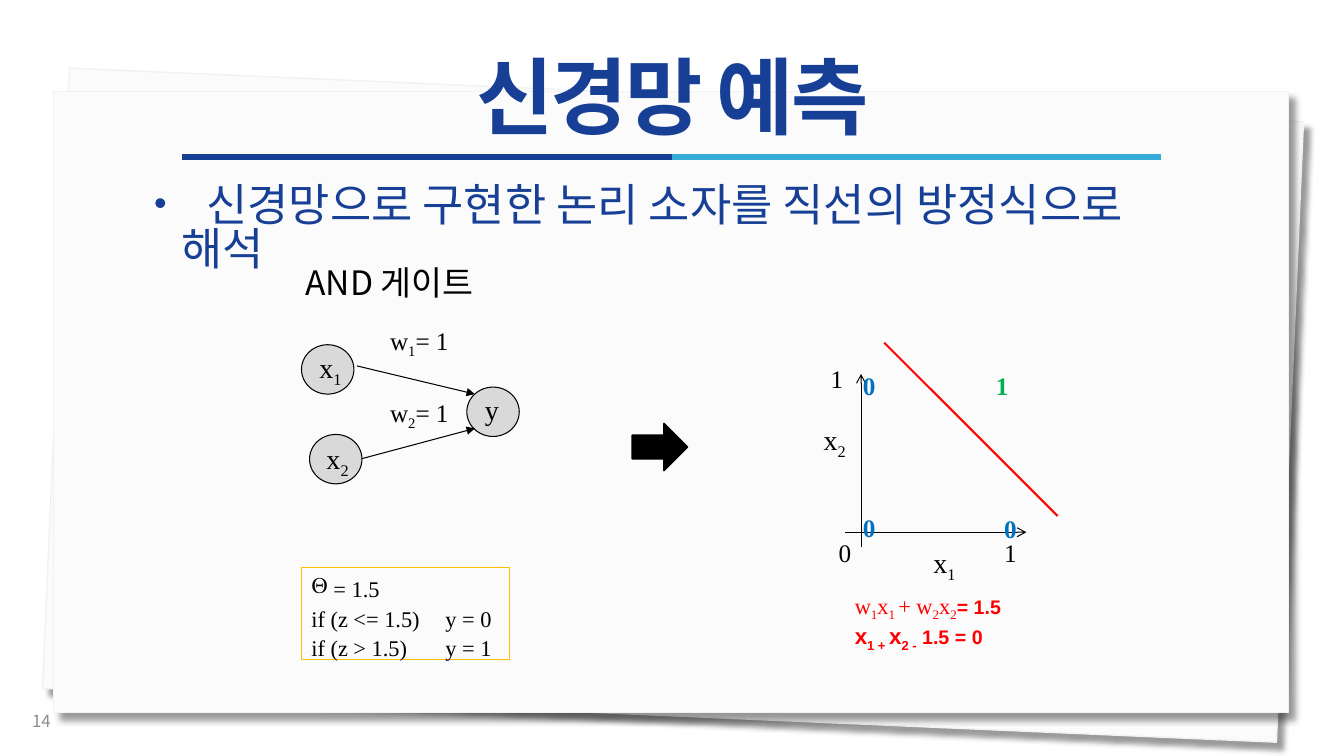
from lxml.etree import SubElement
from pptx import Presentation
from pptx.dml.color import RGBColor
from pptx.enum.shapes import MSO_CONNECTOR, MSO_SHAPE
from pptx.enum.text import MSO_ANCHOR, PP_ALIGN
from pptx.oxml import parse_xml
from pptx.oxml.ns import nsdecls, qn
from pptx.util import Pt

PX = 9144  # 100 px to the inch
NAVY = RGBColor(0x17, 0x3F, 0x95)
RULE = RGBColor(0x16, 0x3E, 0x94)
SKY = RGBColor(0x36, 0xAA, 0xD9)
PAPER = RGBColor(0xFB, 0xFB, 0xFB)
EDGE = RGBColor(0xF2, 0xF2, 0xF2)
GRAY = RGBColor(0x8C, 0x8C, 0x8C)
NODE = RGBColor(0xD9, 0xD9, 0xD9)
GOLD = RGBColor(0xFF, 0xC0, 0x00)
BLACK = RGBColor(0, 0, 0)
RED = RGBColor(0xFF, 0, 0)
BLUE = RGBColor(0x00, 0x70, 0xC0)
GREEN = RGBColor(0x00, 0xB0, 0x50)
SANS, SERIF, ARIAL = "Noto Sans CJK KR", "Times New Roman", "Arial"

deck = Presentation()
deck.slide_width, deck.slide_height = 1333 * PX, 750 * PX
slide = deck.slides.add_slide(deck.slide_layouts[6])
shapes = slide.shapes


def write(para, text, size, face=SERIF, color=BLACK, bold=False):
    """Add runs to a paragraph; text between underscores is subscript."""
    for i, part in enumerate(text.split("_")):
        if not part:
            continue
        run = para.add_run()
        run.text = part
        font = run.font
        font.size, font.name, font.bold = Pt(size), face, bold
        font.color.rgb = color
        props = run._r.get_or_add_rPr()
        SubElement(props, qn("a:ea")).set("typeface", face)
        if i % 2:
            props.set("baseline", "-25000")


def link(x1, y1, x2, y2, color=BLACK, width=0.75, tail=None):
    line = shapes.add_connector(
        MSO_CONNECTOR.STRAIGHT, x1 * PX, y1 * PX, x2 * PX, y2 * PX)
    line.line.color.rgb, line.line.width = color, Pt(width)
    if tail:
        SubElement(line.line._get_or_add_ln(), qn("a:tailEnd")).set("type", tail)
    SubElement(line._element.spPr, qn("a:effectLst"))


# Stacked paper sheets
for x, y, turn in [(55, 94, 2.5), (53, 91, 0)]:
    sheet = shapes.add_shape(MSO_SHAPE.RECTANGLE, x * PX, y * PX, 1225 * PX, 616 * PX)
    sheet.rotation = turn
    sheet.fill.solid()
    sheet.fill.fore_color.rgb = PAPER
    sheet.line.color.rgb, sheet.line.width = EDGE, Pt(1)
    sheet._element.spPr.append(parse_xml(
        f'<a:effectLst {nsdecls("a")}><a:outerShdw blurRad="50800" dist="88900" '
        'dir="2700000" algn="tl" rotWithShape="0"><a:srgbClr val="000000">'
        '<a:alpha val="40000"/></a:srgbClr></a:outerShdw></a:effectLst>'))

link(181, 156, 667, 156, RULE, 4.5)
link(667, 156, 1152, 156, SKY, 4.5)

# Axes and decision line
link(838, 528, 1018, 528, tail="arrow")
link(854, 543, 854, 371, tail="arrow")
link(877, 340, 1049, 512, RED, 1.5)

# Network
for x, y in [(299, 342), (463, 384), (307, 431)]:
    node = shapes.add_shape(MSO_SHAPE.OVAL, x * PX, y * PX, 52 * PX, 49 * PX)
    node.shadow.inherit = False
    node.fill.solid()
    node.fill.fore_color.rgb = NODE
    node.line.color.rgb, node.line.width = BLACK, Pt(0.75)
link(354, 363, 471, 391, tail="triangle")
link(359, 455, 471, 425, tail="triangle")

arrow = shapes.add_shape(MSO_SHAPE.RIGHT_ARROW, 627 * PX, 420 * PX, 55 * PX, 47 * PX)
arrow.shadow.inherit = False
arrow.fill.solid()
arrow.fill.fore_color.rgb = BLACK
arrow.line.color.rgb, arrow.line.width = BLACK, Pt(1)

# One-line labels: place, text, size, face, colour, bold
labels = [
    (22, 695, 300, 40, "14", 12, SANS, GRAY, False),
    (293, 255, 297, 50, "AND 게이트", 24, SANS, BLACK, False),
    (916, 536, 47, 43, "x_1_", 20, SERIF, BLACK, False),
    (807, 414, 47, 44, "x_2_", 20, SERIF, BLACK, False),
    (814, 356, 47, 39, "1", 18, SERIF, BLACK, False),
    (822, 528, 47, 39, "0", 18, SERIF, BLACK, False),
    (986, 528, 47, 39, "1", 18, SERIF, BLACK, False),
    (846, 503, 47, 40, "0", 18, SERIF, BLUE, True),
    (986, 504, 47, 40, "0", 18, SERIF, BLUE, True),
    (846, 362, 47, 40, "0", 18, SERIF, BLUE, True),
    (978, 362, 47, 40, "1", 18, SERIF, GREEN, True),
    (307, 343, 47, 42, "x_1_", 20, SERIF, BLACK, False),
    (314, 433, 47, 44, "x_2_", 20, SERIF, BLACK, False),
    (471, 384, 47, 43, "y", 20, SERIF, BLACK, False),
    (377, 318, 94, 40, "w_1_= 1", 18, SERIF, BLACK, False),
    (377, 389, 94, 40, "w_2_= 1", 18, SERIF, BLACK, False),
]
for x, y, w, h, text, *style in labels:
    frame = shapes.add_textbox(x * PX, y * PX, w * PX, h * PX).text_frame
    frame.word_wrap = True
    if text == "14":
        frame.vertical_anchor = MSO_ANCHOR.MIDDLE
    write(frame.paragraphs[0], text, *style)

# Title
frame = shapes.add_textbox(0, 56 * PX, 1334 * PX, 90 * PX).text_frame
frame.word_wrap = True
frame.vertical_anchor = MSO_ANCHOR.MIDDLE
para = frame.paragraphs[0]
para.alignment, para.line_spacing = PP_ALIGN.CENTER, 0.9
write(para, "신경망 예측", 60, SANS, NAVY, True)
para.runs[0]._r.get_or_add_rPr().set("spc", "-190")

# Bullet, its first line set in by a tab
frame = shapes.add_textbox(141 * PX, 179 * PX, 1059 * PX, 64 * PX).text_frame
frame.word_wrap = True
para = frame.paragraphs[0]
props = para._p.get_or_add_pPr()
props.set("marL", str(29 * PX))
props.set("indent", str(-27 * PX))
SubElement(props, qn("a:buSzPct")).set("val", "80000")
SubElement(props, qn("a:buFont")).set("typeface", ARIAL)
SubElement(props, qn("a:buChar")).set("char", "•")
tabs = SubElement(props, qn("a:tabLst"))
SubElement(tabs, qn("a:tab"), pos=str(54 * PX), algn="l")
para.line_spacing = 0.83
write(para, "\t신경망으로 구현한 논리 소자를 직선의 방정식으로 해석", 32, SANS, NAVY)

# Line equations
frame = shapes.add_textbox(838 * PX, 582 * PX, 180 * PX, 78 * PX).text_frame
frame.word_wrap = True
para = frame.paragraphs[0]
write(para, "w_1_x_1 _+ w_2_x_2_", 16, SERIF, RED)
write(para, "= 1.5", 14, ARIAL, RED, True)
para = frame.add_paragraph()
write(para, "x_1 + _x_2 -_", 16, ARIAL, RED, True)
write(para, " 1.5 = 0", 14, ARIAL, RED, True)

# Threshold rule
rule = shapes.add_shape(MSO_SHAPE.RECTANGLE, 299 * PX, 563 * PX, 206 * PX, 91 * PX)
rule.shadow.inherit = False
rule.fill.background()
rule.line.color.rgb, rule.line.width = GOLD, Pt(0.75)
frame = rule.text_frame
frame.word_wrap = True
frame.vertical_anchor = MSO_ANCHOR.TOP
for i, text in enumerate([" = 1.5", "if (z <= 1.5)\ty = 0", "if (z > 1.5)\ty = 1"]):
    para = frame.add_paragraph() if i else frame.paragraphs[0]
    para.alignment = PP_ALIGN.LEFT
    props = para._p.get_or_add_pPr()
    if i:
        tabs = SubElement(props, qn("a:tabLst"))
        SubElement(tabs, qn("a:tab"), pos=str(133 * PX), algn="l")
    else:
        SubElement(props, qn("a:buChar")).set("char", "Θ")
    para.line_spacing = 1.1
    write(para, text, 16)

deck.save("out.pptx")
